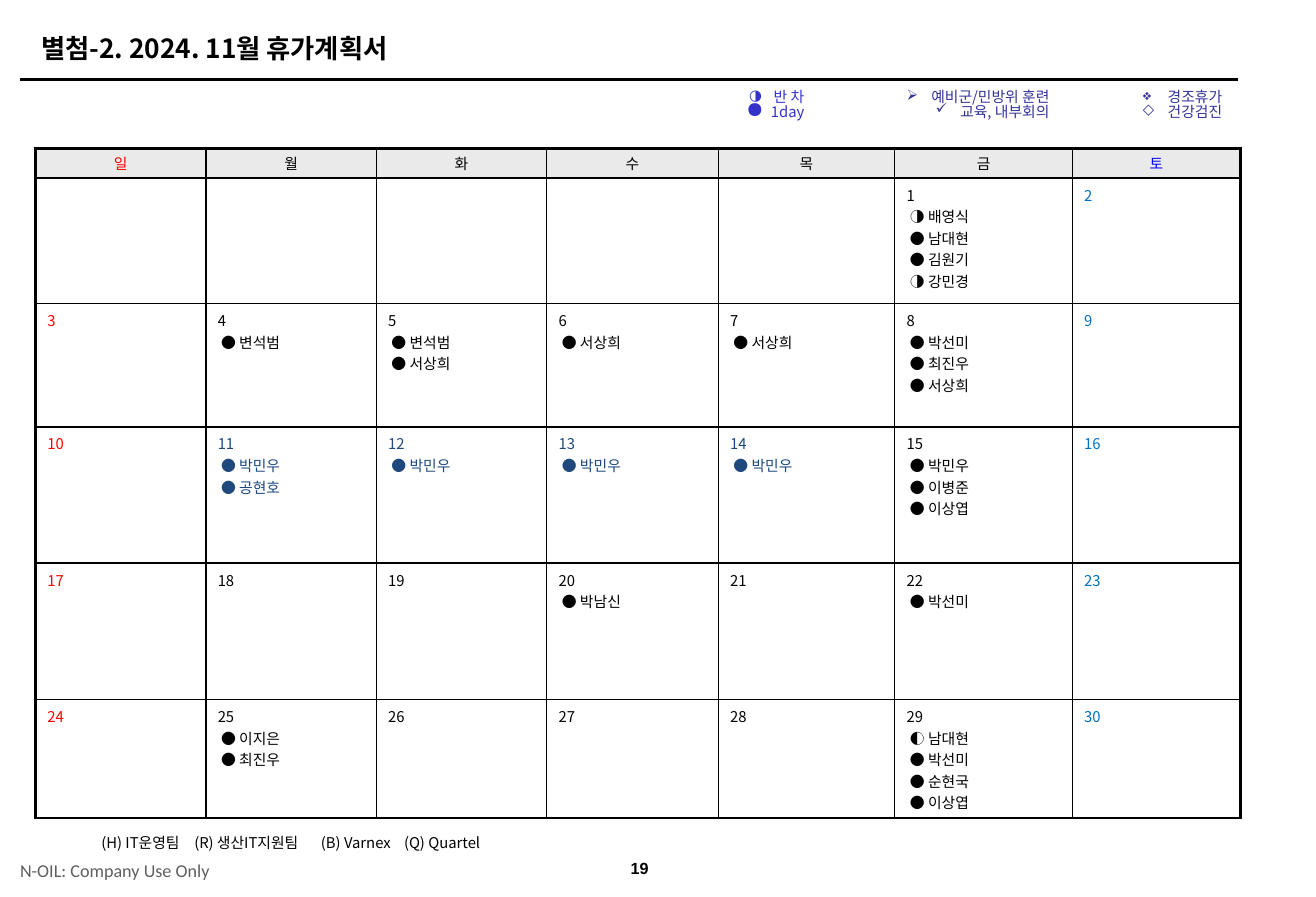
import dataclasses
import lxml.etree
import pptx
import pptx.dml.color
import pptx.enum.shapes
import pptx.enum.text
import pptx.oxml.ns
import pptx.util

Pt = pptx.util.Pt
ALIGN = pptx.enum.text.PP_ALIGN
ANCHOR = pptx.enum.text.MSO_ANCHOR
SANS = "Noto Sans CJK KR"
INK = {
    "black": "000000", "white": "FFFFFF", "head": "EAEAEA", "gray": "5F5F5F",
    "red": "FF0000", "blue": "0000FF", "sky": "0070C0", "navy": "1F497D",
    "iris": "3333CC", "plum": "333399",
}


@dataclasses.dataclass
class Box:
    left: float
    top: float
    width: float
    height: float
    inset: tuple[float, float] = (7.2, 3.6)
    anchor: ANCHOR = ANCHOR.MIDDLE


@dataclasses.dataclass
class Mark:
    sign: str
    label: str
    scale: int = 100


@dataclasses.dataclass
class Legend:
    right: float
    color: str
    marks: list[Mark]


DAYS = "일월화수목금토"
WIDTHS = [103.6, 103.6, 103.6, 104.3, 107.3, 108, 102.2]
HEIGHTS = [18.2, 76.3, 74.9, 82.8, 82.8, 72]
FIRST, LAST = 5, 30
FULL, LATE, EARLY = "●", "◑", "◐"
LEAVE = {
    1: [(LATE, "배영식"), (FULL, "남대현"), (FULL, "김원기"), (LATE, "강민경")],
    4: [(FULL, "변석범")],
    5: [(FULL, "변석범"), (FULL, "서상희")],
    6: [(FULL, "서상희")],
    7: [(FULL, "서상희")],
    8: [(FULL, "박선미"), (FULL, "최진우"), (FULL, "서상희")],
    11: [(FULL, "박민우"), (FULL, "공현호")],
    12: [(FULL, "박민우")],
    13: [(FULL, "박민우")],
    14: [(FULL, "박민우")],
    15: [(FULL, "박민우"), (FULL, "이병준"), (FULL, "이상엽")],
    20: [(FULL, "박남신")],
    22: [(FULL, "박선미")],
    25: [(FULL, "이지은"), (FULL, "최진우")],
    29: [(EARLY, "남대현"), (FULL, "박선미"), (FULL, "순현국"), (FULL, "이상엽")],
}
LEGENDS = [
    Legend(496, "iris", [Mark("◑", "반 차"), Mark("●", "1day", 150)]),
    Legend(645, "plum", [Mark("➢", "예비군/민방위 훈련"), Mark("✓", "교육, 내부회의")]),
    Legend(750, "plum", [Mark("❖", "경조휴가"), Mark("◇", "건강검진")]),
]


def paint(name: str):
    return pptx.dml.color.RGBColor.from_string(INK[name])


def add(root, tag: str, **attrs: str):
    return lxml.etree.SubElement(root, pptx.oxml.ns.qn(tag), attrs)


def write(para, text: str, *, size: float = 9, color: str = "black", font: str = SANS,
          bold: bool = False, align=ALIGN.LEFT, space: float = 1.0,
          indent: float = 0, bullet: Mark | None = None, tabs: tuple = ()) -> None:
    props = para._p.get_or_add_pPr()
    if indent:
        props.set("marL", str(Pt(indent)))
    if bullet:
        props.set("indent", str(-Pt(indent)))
        add(add(props, "a:buClr"), "a:srgbClr", val=INK[color])
        add(props, "a:buSzPct", val=str(bullet.scale * 1000))
        add(props, "a:buChar", char=bullet.sign)
    if tabs:
        stops = add(props, "a:tabLst")
        for stop in tabs:
            add(stops, "a:tab", pos=str(Pt(stop)), algn="l")
    para.alignment = align
    para.line_spacing = space
    run = para.add_run()
    run.text = text
    run.font.size = Pt(size)
    run.font.bold = bold
    run.font.name = font
    run.font.color.rgb = paint(color)
    add(run._r.get_or_add_rPr(), "a:ea", typeface=font)


def frame(slide, box: Box):
    shape = slide.shapes.add_textbox(Pt(box.left), Pt(box.top), Pt(box.width), Pt(box.height))
    body = shape.text_frame
    body.word_wrap = True
    body.vertical_anchor = box.anchor
    body.margin_left = body.margin_right = Pt(box.inset[0])
    body.margin_top = body.margin_bottom = Pt(box.inset[1])
    return body


def label(slide, box: Box, text: str, **style) -> None:
    write(frame(slide, box).paragraphs[0], text, **style)


def rule(slide, left: float, right: float, top: float) -> None:
    line = slide.shapes.add_connector(
        pptx.enum.shapes.MSO_CONNECTOR.STRAIGHT, Pt(left), Pt(top), Pt(right), Pt(top))
    line.line.width = Pt(1.5)
    line.line.color.rgb = paint("black")
    add(line._element.spPr, "a:effectLst")


def legend(slide, item: Legend) -> None:
    width = 130
    body = frame(slide, Box(item.right - width, 52, width, 28.8, anchor=ANCHOR.TOP))
    for i, mark in enumerate(item.marks):
        para = body.add_paragraph() if i else body.paragraphs[0]
        write(para, mark.label, color=item.color, align=ALIGN.RIGHT,
              space=0.81, indent=15, bullet=mark)


def dress(cell, row: int, col: int) -> None:
    props = cell._tc.get_or_add_tcPr()
    thick = {"L": col == 0, "R": col == len(DAYS) - 1, "T": row == 0, "B": False}
    for side, outer in thick.items():
        edge = add(props, f"a:ln{side}", w=str(Pt(2 if outer else 1)))
        add(add(edge, "a:solidFill"), "a:srgbClr", val=INK["black"])
    cell.fill.solid()
    cell.fill.fore_color.rgb = paint("white" if row else "head")
    cell.margin_left = cell.margin_right = Pt(7.2)
    cell.margin_top = cell.margin_bottom = Pt(3.6 if row else 2)
    cell.vertical_anchor = ANCHOR.TOP if row else ANCHOR.MIDDLE


def enter(cell, day: int, col: int) -> None:
    color = {0: "red", 6: "sky"}.get(col, "navy" if 11 <= day <= 14 else "black")
    write(cell.text_frame.paragraphs[0], str(day), color=color)
    for sign, name in LEAVE.get(day, []):
        write(cell.text_frame.add_paragraph(), f"{sign} {name}", color=color, indent=2)


def month(slide) -> None:
    grid = slide.shapes.add_table(len(HEIGHTS), len(DAYS), Pt(21.6), Pt(90),
                                  Pt(sum(WIDTHS)), Pt(sum(HEIGHTS))).table
    grid.first_row = grid.horz_banding = False
    for col, width in enumerate(WIDTHS):
        grid.columns[col].width = Pt(width)
    for row, height in enumerate(HEIGHTS):
        grid.rows[row].height = Pt(height)
        for col, name in enumerate(DAYS):
            cell = grid.cell(row, col)
            dress(cell, row, col)
            day = (row - 1) * len(DAYS) + col - FIRST + 1
            if row == 0:
                write(cell.text_frame.paragraphs[0], name, align=ALIGN.CENTER,
                      color={0: "red", 6: "blue"}.get(col, "black"))
            elif 1 <= day <= LAST:
                enter(cell, day, col)


def main() -> None:
    deck = pptx.Presentation()
    deck.slide_width, deck.slide_height = Pt(800), Pt(545)
    slide = deck.slides.add_slide(deck.slide_layouts[6])
    rule(slide, 12.2, 752.4, 48.2)
    label(slide, Box(369.4, 516.2, 38.9, 22.3), "19", size=9.8, font="Arial",
          bold=True, align=ALIGN.CENTER)
    label(slide, Box(12.2, 517.7, 150, 22.3, inset=(0, 0)), "N-OIL: Company Use Only",
          size=11, font="Calibri", color="gray")
    month(slide)
    label(slide, Box(18, 15.8, 712.8, 26.6), "별첨-2. 2024. 11월 휴가계획서", size=16, bold=True)
    for item in LEGENDS:
        legend(slide, item)
    label(slide, Box(54.5, 504, 270, 17.3),
          "(H) IT운영팀\t(R) 생산IT지원팀\t(B) Varnex\t(Q) Quartel",
          space=0.95, tabs=(56.5, 133.5, 184))
    deck.save("out.pptx")


if __name__ == "__main__":
    main()
